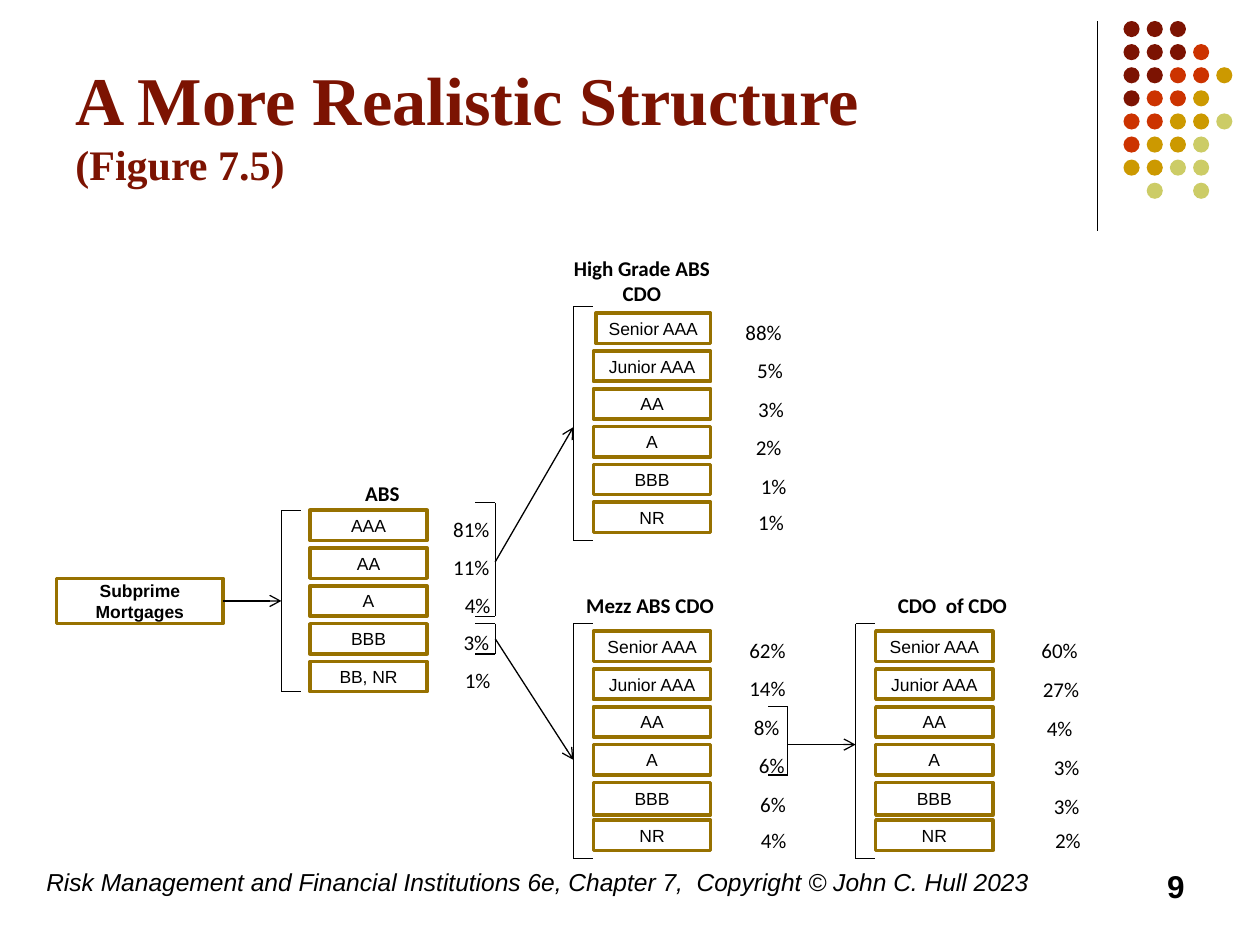
from dataclasses import dataclass

from lxml.etree import SubElement
from pptx import Presentation
from pptx.dml.color import RGBColor
from pptx.enum.shapes import MSO_CONNECTOR as Connector, MSO_SHAPE as Shape
from pptx.enum.text import MSO_ANCHOR as Anchor, PP_ALIGN as Align
from pptx.oxml.ns import qn
from pptx.util import Pt


@dataclass(frozen=True)
class Theme:
    ink: str = "000000"
    paper: str = "FFFFFF"
    title: str = "7C1302"
    border: str = "977100"
    dots: tuple = ("7C1302", "CC3300", "CC9900", "CCCC66")
    title_font: str = "Times New Roman"
    box_font: str = "Arial"
    label_font: str = "Calibri"
    title_size: float = 39
    subtitle_size: float = 24
    box_size: float = 10
    label_size: float = 12
    footer_size: float = 14
    number_size: float = 18


THEME = Theme()
ROW_PITCH, BOX_WIDTH, BOX_HEIGHT = 21.6, 67, 17.3
BRACKET_REACH = 11.3

# Each digit is an index into the dot colours, a space leaves a gap
DOT_ROWS = ("000", "0001", "00112", "0112", "11223", "1223", "2233", " 3 3")

CDO_RATINGS = ("Senior AAA", "Junior AAA", "AA", "A", "BBB", "NR")


@dataclass(frozen=True)
class Tranches:
    """One pool: its boxes, and the shares with their centre positions."""
    left: float
    top: float
    ratings: tuple
    shares: tuple
    centres: tuple
    share_pitch: float
    heading: str
    heading_box: tuple
    bracket: tuple
    tall_row: int = -1
    narrow_row: int = -1


POOLS = (
    Tranches(177.1, 291.6, ("AAA", "AA", "A", "BBB", "BB, NR"),
             ("81%", "11%", "4%", "3%", "1%"),
             (269.3, 269.3, 272.9, 272.2, 272.9), 21.6,
             "ABS", (185, 270.8, 67, 22), (160.8, 291.6, 395.3)),
    Tranches(339.1, 179, CDO_RATINGS,
             ("88%", "5%", "3%", "2%", "1%", "1%"),
             (436.3, 440, 440.6, 439.2, 442.1, 440.6), 22,
             "High Grade ABS CDO", (313.9, 142.6, 105.8, 36), (327.6, 175, 308.9),
             narrow_row=0),
    Tranches(339.1, 360.7, CDO_RATINGS,
             ("62%", "14%", "8%", "6%", "6%", "4%"),
             (438.5, 438.5, 438.1, 441, 441.7, 442.1), 22,
             "Mezz ABS CDO", (320.4, 334.8, 102.2, 21.6), (327.6, 356.4, 490.6),
             tall_row=4),
    Tranches(500.4, 360.7, CDO_RATINGS,
             ("60%", "27%", "4%", "3%", "3%", "2%"),
             (605.5, 606.3, 605.5, 609.5, 609.5, 610.2), 22.3,
             "CDO  of CDO", (493.9, 334.8, 100.8, 21.6), (488.9, 356.4, 490.6),
             tall_row=4),
)


def color(value):
    return RGBColor.from_string(value)


def write(frame, text, size, font, ink=THEME.ink, bold=False, italic=False,
          align=Align.LEFT, anchor=Anchor.TOP):
    """Add a formatted run to the first paragraph of a text frame."""
    frame.word_wrap = True
    frame.vertical_anchor = anchor
    paragraph = frame.paragraphs[0]
    paragraph.alignment = align
    run = paragraph.add_run()
    run.text = text
    run.font.size, run.font.name = Pt(size), font
    run.font.bold, run.font.italic = bold, italic
    run.font.color.rgb = color(ink)
    return paragraph


def add_text_box(slide, left, top, width, height):
    return slide.shapes.add_textbox(Pt(left), Pt(top), Pt(width), Pt(height)).text_frame


def add_label(slide, text, left, top, width, height, bold=False):
    write(add_text_box(slide, left, top, width, height), text, THEME.label_size,
          THEME.label_font, bold=bold, align=Align.CENTER)


def add_filled(slide, kind, left, top, width, height, fill):
    shape = slide.shapes.add_shape(kind, Pt(left), Pt(top), Pt(width), Pt(height))
    shape.shadow.inherit = False
    shape.fill.solid()
    shape.fill.fore_color.rgb = color(fill)
    shape.line.fill.background()
    return shape


def add_box(slide, text, left, top, width, height, bold=False):
    shape = add_filled(slide, Shape.RECTANGLE, left, top, width, height, THEME.paper)
    shape.line.color.rgb = color(THEME.border)
    shape.line.width = Pt(2)
    frame = shape.text_frame
    frame.margin_left = frame.margin_right = Pt(3.6)
    frame.margin_top = frame.margin_bottom = Pt(0)
    write(frame, text, THEME.box_size, THEME.box_font, bold=bold,
          align=Align.CENTER, anchor=Anchor.MIDDLE)


def add_line(slide, x1, y1, x2, y2, arrow=False):
    connector = slide.shapes.add_connector(
        Connector.STRAIGHT, Pt(x1), Pt(y1), Pt(x2), Pt(y2))
    connector.line.color.rgb = color(THEME.ink)
    connector.line.width = Pt(0.75)
    if arrow:
        SubElement(connector.line._get_or_add_ln(), qn("a:tailEnd"), type="arrow")
    SubElement(connector._element.spPr, qn("a:effectLst"))


def add_bracket(slide, x, top, bottom, reach):
    add_line(slide, x, top, x, bottom)
    for y in (top, bottom):
        add_line(slide, x, y, x + reach, y)


def add_dots(slide):
    for row, pattern in enumerate(DOT_ROWS):
        for column, key in enumerate(pattern):
            if key != " ":
                add_filled(slide, Shape.OVAL, 642 + 13.25 * column, 12 + 13.2 * row,
                           9.2, 9.2, THEME.dots[int(key)])


def add_pool(slide, pool):
    add_label(slide, pool.heading, *pool.heading_box, bold=True)
    add_bracket(slide, *pool.bracket, BRACKET_REACH)
    rows = zip(pool.ratings, pool.shares, pool.centres)
    for row, (rating, share, centre) in enumerate(rows):
        indent = 1.4 if row == pool.narrow_row else 0
        height = BOX_HEIGHT + (1.4 if row == pool.tall_row else 0)
        add_box(slide, rating, pool.left + indent, pool.top + ROW_PITCH * row,
                BOX_WIDTH - indent, height)
        # The last share sits a little closer to the one above
        offset = min(pool.share_pitch * row, 108.5)
        add_label(slide, share, centre - 20, pool.top + offset, 40, 21.6)


def main():
    presentation = Presentation()
    presentation.slide_width, presentation.slide_height = Pt(720), Pt(540)
    slide = presentation.slides.add_slide(presentation.slide_layouts[6])

    # Corner decoration
    add_line(slide, 627, 12.2, 627, 131.8)
    add_dots(slide)

    # Title
    title = add_text_box(slide, 36, 9.4, 594, 102.2)
    style = dict(font=THEME.title_font, ink=THEME.title, bold=True, anchor=Anchor.BOTTOM)
    write(title, "A More Realistic Structure", THEME.title_size, **style).add_line_break()
    write(title, "(Figure 7.5)", THEME.subtitle_size, **style)

    # Mortgages and the pools built from them
    add_box(slide, "Subprime Mortgages", 32.4, 330.5, 95, 25.9, bold=True)
    for pool in POOLS:
        add_pool(slide, pool)

    # Brackets around the tranches that are passed on
    for x, top, bottom in ((283, 287.3, 352.1), (283, 356.4, 373.7), (450, 403.9, 442.8)):
        add_bracket(slide, x, top, bottom, -BRACKET_REACH)

    # Flows between pools
    for ends in ((127.4, 343.4, 160.8, 343.4), (283, 321.1, 327.6, 244.1),
                 (283, 365, 327.6, 434.2), (450, 425.5, 488.9, 425.5)):
        add_line(slide, *ends, arrow=True)

    # Footer
    write(add_text_box(slide, 516.2, 491.8, 167.8, 36), "9", THEME.number_size,
          THEME.box_font, bold=True, align=Align.RIGHT)
    write(add_text_box(slide, 19.4, 491.8, 595.4, 36),
          "Risk Management and Financial Institutions 6e, Chapter 7,  "
          "Copyright © John C. Hull 2023",
          THEME.footer_size, THEME.box_font, italic=True)

    presentation.save("out.pptx")


if __name__ == "__main__":
    main()
